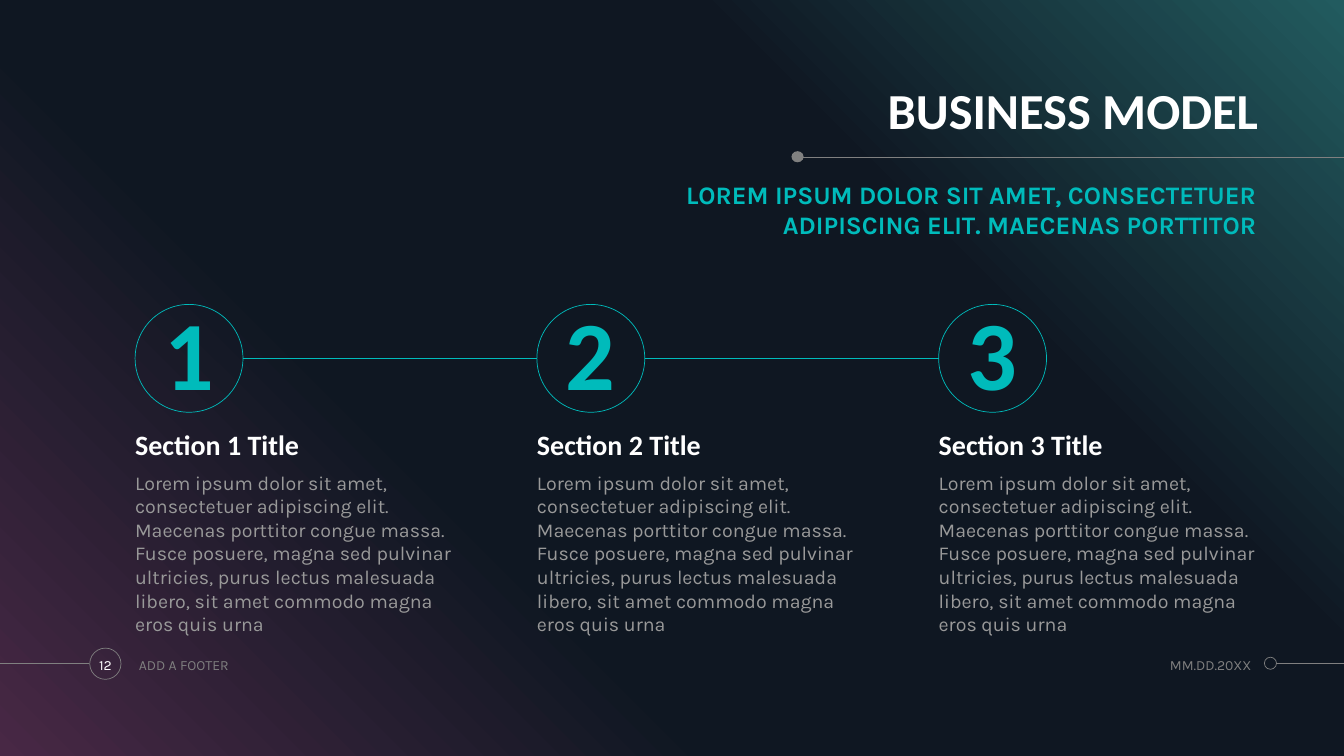
from copy import deepcopy

from pptx import Presentation
from pptx.dml.color import RGBColor
from pptx.enum.shapes import MSO_CONNECTOR, MSO_SHAPE
from pptx.enum.text import MSO_ANCHOR, PP_ALIGN
from pptx.oxml.ns import qn
from pptx.util import Inches, Pt

TEAL, WHITE, GREY, BODY_GREY = "00BBBB", "FFFFFF", "808080", "999999"
HEADING = {"name": "Calibri", "bold": True}
TEXT = {"name": "Karla", "bold": False}
BACKDROP_STOPS = [(0, "482845"), (0.34, "0F1722"), (0.69, "0F1722"), (1, "225B5F")]
SECTION_TEXT = (
    "Lorem ipsum dolor sit amet, consectetuer adipiscing elit. "
    "Maecenas porttitor congue massa. Fusce posuere, magna sed pulvinar "
    "ultricies, purus lectus malesuada libero, sit amet commodo magna eros quis urna"
)


def colour(value):
    return RGBColor.from_string(value)


def write(shape, words, size, ink, face, align=PP_ALIGN.LEFT,
          anchor=MSO_ANCHOR.TOP, spacing=1.0, inset=0.0):
    """Put one formatted paragraph into a shape."""
    frame = shape.text_frame
    frame_format = {"word_wrap": True, "vertical_anchor": anchor}
    for side in ("left", "right", "top", "bottom"):
        frame_format["margin_" + side] = Inches(inset)
    for name, value in frame_format.items():
        setattr(frame, name, value)
    para = frame.paragraphs[0]
    para.alignment = align
    para.line_spacing = spacing
    span = para.add_run()
    span.text = words
    for name, value in {**face, "size": Pt(size)}.items():
        setattr(span.font, name, value)
    span.font.color.rgb = colour(ink)


def add_text(page, box, *content, **layout):
    write(page.shapes.add_textbox(*map(Inches, box)), *content, **layout)


def add_circle(page, box, line=None, fill=None):
    circle = page.shapes.add_shape(MSO_SHAPE.OVAL, *map(Inches, box))
    circle.shadow.inherit = False
    if fill:
        circle.fill.solid()
        circle.fill.fore_color.rgb = colour(fill)
    else:
        circle.fill.background()
    if line:
        circle.line.color.rgb = colour(line)
        circle.line.width = Pt(0.5)
    else:
        circle.line.fill.background()
    return circle


def add_line(page, start, end, y, ink):
    line = page.shapes.add_connector(
        MSO_CONNECTOR.STRAIGHT, Inches(start), Inches(y), Inches(end), Inches(y))
    line.line.color.rgb = colour(ink)
    line.line.width = Pt(0.5)
    properties = line._element.spPr
    properties.append(properties.makeelement(qn("a:effectLst"), {}))


def add_backdrop(page, deck):
    backdrop = page.shapes.add_shape(
        MSO_SHAPE.RECTANGLE, 0, 0, deck.slide_width, deck.slide_height)
    backdrop.shadow.inherit = False
    backdrop.line.fill.background()
    backdrop.fill.gradient()
    backdrop.fill.gradient_angle = 45
    stop_list = backdrop._element.spPr.find(".//" + qn("a:gsLst"))
    while len(stop_list) < len(BACKDROP_STOPS):
        stop_list.append(deepcopy(stop_list[0]))
    for stop, (position, ink) in zip(backdrop.fill.gradient_stops, BACKDROP_STOPS):
        stop.position = position
        stop.color.rgb = colour(ink)


def add_section(page, number, left):
    circle = add_circle(page, (left, 3.02, 1.07, 1.07), line=TEAL)
    write(circle, str(number), 70, TEAL, HEADING, align=PP_ALIGN.CENTER,
          anchor=MSO_ANCHOR.MIDDLE, spacing=0.9)
    add_text(page, (left, 4.22, 3.22, 0.36), f"Section {number} Title", 20, WHITE,
             HEADING, anchor=MSO_ANCHOR.BOTTOM, spacing=0.9)
    add_text(page, (left, 4.67, 3.22, 1.55), SECTION_TEXT, 14, BODY_GREY, TEXT)


def add_footer(page):
    middle = MSO_ANCHOR.MIDDLE
    add_line(page, 12.66, 13.33, 6.58, GREY)
    add_circle(page, (12.54, 6.52, 0.12, 0.12), line=GREY)
    add_line(page, 0, 0.88, 6.58, GREY)
    add_circle(page, (0.89, 6.43, 0.31, 0.31), line=GREY)
    add_text(page, (0.85, 6.43, 0.39, 0.33), "12", 10, WHITE, TEXT,
             align=PP_ALIGN.CENTER, anchor=middle)
    add_text(page, (1.28, 6.43, 3.19, 0.33), "ADD A FOOTER", 10, GREY, TEXT,
             anchor=middle, inset=0.1)
    add_text(page, (10.95, 6.43, 1.46, 0.33), "MM.DD.20XX", 10, GREY, TEXT,
             align=PP_ALIGN.RIGHT, anchor=middle)


def main():
    deck = Presentation()
    deck.slide_width, deck.slide_height = Inches(13.33), Inches(7.5)
    page = deck.slides.add_slide(deck.slide_layouts[6])
    add_backdrop(page, deck)

    # Title and subtitle with the rule between them
    add_line(page, 7.94, 13.33, 1.56, GREY)
    add_circle(page, (7.85, 1.5, 0.12, 0.11), fill=GREY)
    add_text(page, (5.58, 0.77, 6.9, 0.62), "BUSINESS MODEL", 36, WHITE, HEADING,
             align=PP_ALIGN.RIGHT, anchor=MSO_ANCHOR.BOTTOM, spacing=0.9)
    add_text(page, (5.58, 1.78, 6.88, 0.62),
             "LOREM IPSUM DOLOR SIT AMET, CONSECTETUER ADIPISCING ELIT. "
             "MAECENAS PORTTITOR", 18, TEAL, {**TEXT, "bold": True},
             align=PP_ALIGN.RIGHT)

    # Three numbered sections, joined by lines
    lefts = [1.34 + 3.985 * index for index in range(3)]
    for left, following in zip(lefts, lefts[1:]):
        add_line(page, left + 1.07, following, 3.56, TEAL)
    for number, left in enumerate(lefts, start=1):
        add_section(page, number, left)

    add_footer(page)
    deck.save("out.pptx")


if __name__ == "__main__":
    main()
